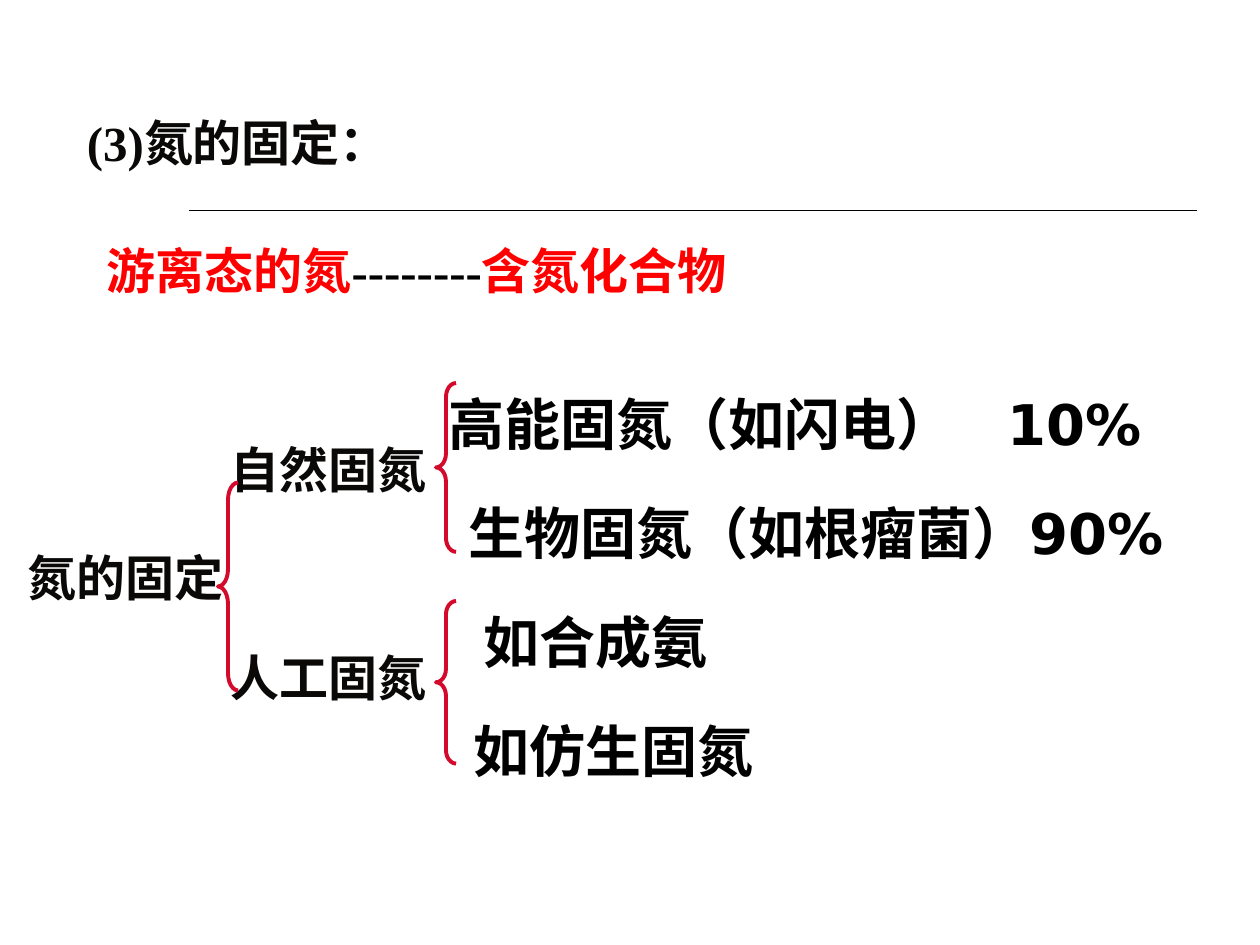
from dataclasses import dataclass

from lxml.etree import SubElement
from pptx import Presentation
from pptx.dml.color import RGBColor
from pptx.enum.shapes import MSO_CONNECTOR, MSO_SHAPE
from pptx.enum.text import MSO_ANCHOR, MSO_AUTO_SIZE, PP_ALIGN
from pptx.oxml.ns import qn
from pptx.util import Inches, Pt

INK = RGBColor(0x0A, 0x09, 0x08)
BLACK = RGBColor(0, 0, 0)
RED = RGBColor(0xFF, 0, 0)
CRIMSON = RGBColor(0xD4, 0x0A, 0x2C)

SERIF = "Times New Roman"
SANS = "DejaVu Sans"
BRACE_WIDTH = 0.16


@dataclass(frozen=True)
class Run:
    text: str
    color: RGBColor = INK
    font: str = SERIF
    size: int = 28


@dataclass(frozen=True)
class Label:
    left: float
    top: float
    width: float
    height: float
    runs: tuple[Run, ...]
    tab: float | None = None


@dataclass(frozen=True)
class Brace:
    left: float
    top: float
    height: float


def example(left: float, top: float, text: str, tab: float | None = None) -> Label:
    return Label(left, top, 6.65, 0.64, (Run(text, BLACK, SANS, 32),), tab)


TITLE = Label(0.59, 0.84, 4.02, 0.57, (Run("(3)氮的固定："),))

LABELS = (
    Label(0.75, 1.86, 8.98, 0.57, (
        Run("游离态的氮", RED), Run("--------", BLACK), Run("含氮化合物", RED))),
    Label(0.12, 4.3, 2.28, 0.57, (Run("氮的固定"),)),
    Label(1.73, 3.44, 2.28, 0.57, (Run("自然固氮"),)),
    Label(1.73, 5.09, 2.68, 0.57, (Run("人工固氮"),)),
    example(3.46, 3.04, "高能固氮（如闪电）\t10%", tab=4.44),
    Label(3.62, 3.91, 6.5, 0.64, (
        Run("生物固氮（如根瘤菌）", BLACK, "Arial", 32), Run("90%", BLACK, SANS, 32))),
    example(3.74, 4.77, "如合成氨"),
    example(3.66, 5.64, "如仿生固氮"),
)

BRACES = (
    Brace(1.73, 3.83, 1.65),
    Brace(3.46, 3.04, 1.34),
    Brace(3.46, 4.77, 1.29),
)


def apply_format(target, values: dict) -> None:
    for name, value in values.items():
        setattr(target, name, value)


def write_label(shape, label: Label) -> None:
    apply_format(shape, {
        "left": Inches(label.left), "top": Inches(label.top),
        "width": Inches(label.width), "height": Inches(label.height),
    })
    frame = shape.text_frame
    apply_format(frame, {
        "word_wrap": True,
        "auto_size": MSO_AUTO_SIZE.SHAPE_TO_FIT_TEXT,
        "vertical_anchor": MSO_ANCHOR.TOP,
    })
    paragraph = frame.paragraphs[0]
    paragraph.alignment = PP_ALIGN.LEFT
    if label.tab is not None:
        tabs = SubElement(paragraph._p.get_or_add_pPr(), qn("a:tabLst"))
        SubElement(tabs, qn("a:tab"), pos=str(Inches(label.tab)), algn="l")
    for item in label.runs:
        run = paragraph.add_run()
        run.text = item.text
        apply_format(run.font, {"name": item.font, "size": Pt(item.size), "bold": True})
        run.font.color.rgb = item.color


def draw_brace(slide, brace: Brace) -> None:
    shape = slide.shapes.add_shape(
        MSO_SHAPE.LEFT_BRACE, Inches(brace.left), Inches(brace.top),
        Inches(BRACE_WIDTH), Inches(brace.height))
    shape.adjustments[0] = brace.height / 12 / BRACE_WIDTH
    shape.shadow.inherit = False
    shape.fill.background()
    shape.line.color.rgb = CRIMSON
    shape.line.width = Pt(2.25)


def draw_rule(slide) -> None:
    rule = slide.shapes.add_connector(
        MSO_CONNECTOR.STRAIGHT, Inches(1.5), Inches(1.67), Inches(9.5), Inches(1.67))
    rule.line.color.rgb = BLACK
    rule.line.width = Pt(1)
    SubElement(rule._element.spPr, qn("a:effectLst"))


def main() -> None:
    presentation = Presentation()
    apply_format(presentation, {"slide_width": Inches(10), "slide_height": Inches(7.5)})
    slide = presentation.slides.add_slide(presentation.slide_layouts[5])
    draw_rule(slide)
    write_label(slide.shapes.title, TITLE)
    for label in LABELS:
        write_label(slide.shapes.add_textbox(0, 0, 0, 0), label)
    for brace in BRACES:
        draw_brace(slide, brace)
    presentation.save("out.pptx")


if __name__ == "__main__":
    main()
